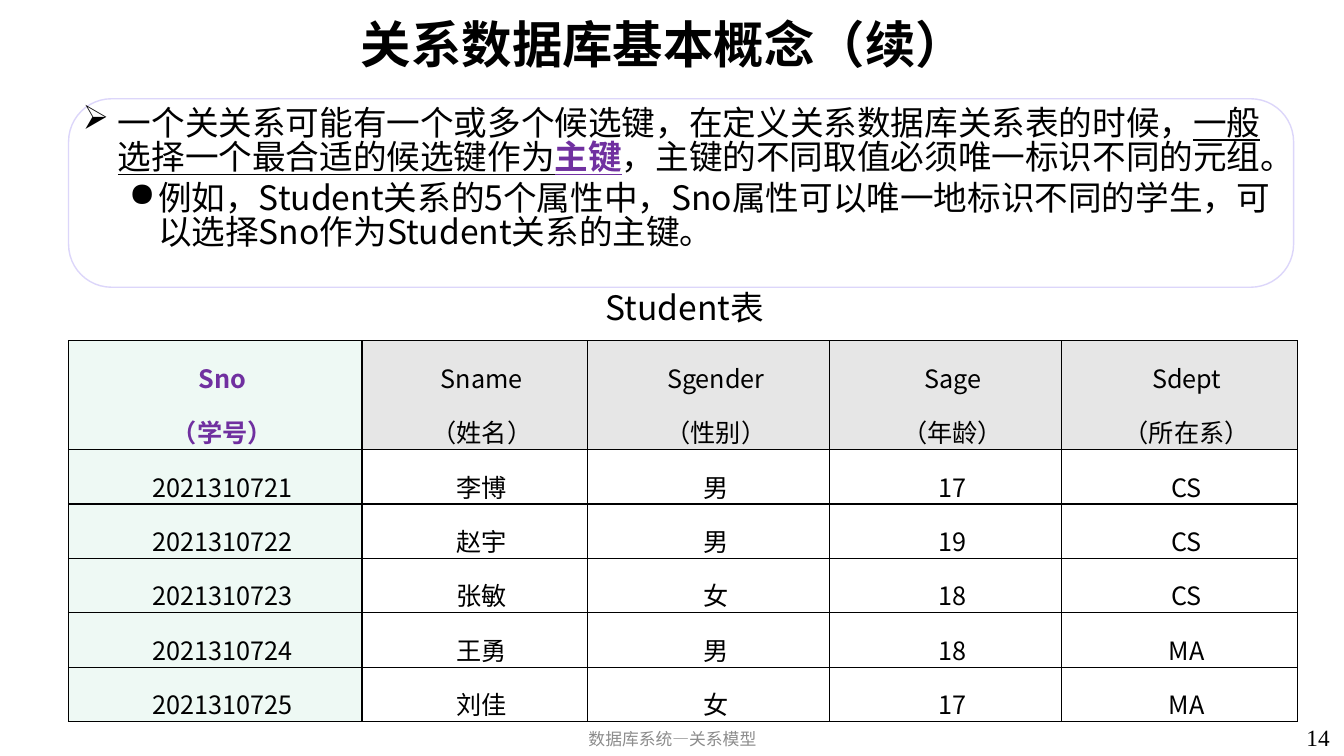
from lxml.etree import SubElement
from pptx import Presentation
from pptx.dml.color import RGBColor
from pptx.enum.shapes import MSO_SHAPE as Shape
from pptx.enum.text import MSO_ANCHOR as Anchor, PP_ALIGN as Align
from pptx.oxml.ns import qn
from pptx.util import Inches, Pt

SANS, SERIF = "Noto Sans CJK SC", "Times New Roman"
COLORS = {"black": "000000", "white": "FFFFFF", "grey": "8C8C8C", "purple": "7030A0",
          "frame": "DCD6FA", "key": "EEF9F4", "header": "E6E6E6"}

# Content
TITLE = "关系数据库基本概念（续）"
FOOTER = "数据库系统—关系模型"
PAGE_NUMBER = "14"
CAPTION = "Student表"
# Bullet, left margin, hanging indent, space before, spans of (text, style)
POINTS = [
    ("➢", 0.35, 0.35, 0, [
        ("一个关关系可能有一个或多个候选键，在定义关系数据库关系表的时候，", {}),
        ("一般选择一个最合适的候选键作为", {"underline": True}),
        ("主键", {"underline": True, "bold": True, "color": "purple"}),
        ("，主键的不同取值必须唯一标识不同的元组。", {}),
    ]),
    ("●", 0.75, 0.29, 4.5, [
        ("例如，Student关系的5个属性中，Sno属性可以唯一地标识不同的学生，"
         "可以选择Sno作为Student关系的主键。", {}),
    ]),
]
STUDENTS = [
    ("Sno\n（学号）", "Sname\n（姓名）", "Sgender\n（性别）", "Sage\n（年龄）", "Sdept\n（所在系）"),
    ("2021310721", "李博", "男", "17", "CS"),
    ("2021310722", "赵宇", "男", "19", "CS"),
    ("2021310723", "张敏", "女", "18", "CS"),
    ("2021310724", "王勇", "男", "18", "MA"),
    ("2021310725", "刘佳", "女", "17", "MA"),
]
COLUMN_WIDTHS = (2.91, 2.24, 2.4, 2.3, 2.34)
ROW_HEIGHT = 0.54


def rgb(name):
    return RGBColor.from_string(COLORS[name])


def style_span(span, size, color="black", bold=False, underline=False, face=SANS):
    font = span.font
    font.size, font.bold, font.underline = Pt(size), bold, underline
    font.color.rgb = rgb(color)
    font.name = face
    east_asian = SubElement(span._r.rPr, qn("a:ea"), typeface=face)
    span._r.rPr.find(qn("a:latin")).addnext(east_asian)


def add_box(slide, left, top, width, height, anchor=Anchor.TOP, wrap=True):
    box = slide.shapes.add_textbox(Inches(left), Inches(top), Inches(width), Inches(height))
    box.text_frame.word_wrap = wrap
    box.text_frame.vertical_anchor = anchor
    return box.text_frame


def add_label(slide, text, place, size, align=Align.LEFT, anchor=Anchor.TOP, wrap=True, **style):
    frame = add_box(slide, *place, anchor, wrap)
    frame.text = text
    para = frame.paragraphs[0]
    para.alignment = align
    style_span(para.runs[0], size, **style)


def add_points(slide):
    frame = add_box(slide, 0.72, 1.02, 12.11, 1.75)
    for index, (bullet, margin, hanging, before, spans) in enumerate(POINTS):
        para = frame.add_paragraph() if index else frame.paragraphs[0]
        para.level = index
        props = para._p.get_or_add_pPr()
        props.set("marL", str(Inches(margin)))
        props.set("indent", str(-Inches(hanging)))
        SubElement(props, qn("a:buChar"), char=bullet)
        para.line_spacing = 0.85
        para.space_before = Pt(before)
        for text, style in spans:
            span = para.add_run()
            span.text = text
            style_span(span, 24, **style)


def add_borders(cell):
    props = cell._tc.get_or_add_tcPr()
    for index, side in enumerate(("lnL", "lnR", "lnT", "lnB")):
        line = props.makeelement(qn(f"a:{side}"), {"w": str(Pt(1))})
        fill = SubElement(line, qn("a:solidFill"))
        SubElement(fill, qn("a:srgbClr"), val=COLORS["black"])
        props.insert(index, line)


def fill_cell(cell, text, row, column):
    cell.margin_left = cell.margin_right = Inches(0.07)
    cell.margin_top = cell.margin_bottom = 0
    cell.vertical_anchor = Anchor.MIDDLE
    if column == 0 or row == 0:
        cell.fill.solid()
        cell.fill.fore_color.rgb = rgb("header" if column else "key")
    else:
        cell.fill.background()
    add_borders(cell)
    is_key = row == column == 0
    cell.text_frame.text = text
    for para in cell.text_frame.paragraphs:
        para.alignment = Align.CENTER
        para.line_spacing = 1.5
        para._p.get_or_add_pPr().set("indent", str(Inches(0.14)))
        style_span(para.runs[0], 18, "purple" if is_key else "black", bold=is_key)


def add_students(slide):
    heights = [ROW_HEIGHT * (2 if row == 0 else 1) for row in range(len(STUDENTS))]
    table = slide.shapes.add_table(
        len(STUDENTS), len(COLUMN_WIDTHS), Inches(0.68), Inches(3.38),
        Inches(sum(COLUMN_WIDTHS)), Inches(sum(heights))).table
    for column, width in zip(table.columns, COLUMN_WIDTHS):
        column.width = Inches(width)
    for row, height in zip(table.rows, heights):
        row.height = Inches(height)
    for row, values in enumerate(STUDENTS):
        for column, text in enumerate(values):
            fill_cell(table.cell(row, column), text, row, column)


def main():
    deck = Presentation()
    deck.slide_width, deck.slide_height = Inches(13.33), Inches(7.5)
    slide = deck.slides.add_slide(deck.slide_layouts[6])

    # Rounded frame behind the points
    frame = slide.shapes.add_shape(Shape.ROUNDED_RECTANGLE, Inches(0.68), Inches(0.98),
                                   Inches(12.15), Inches(1.87))
    frame.adjustments[0] = 0.228
    frame.shadow.inherit = False
    frame.fill.solid()
    frame.fill.fore_color.rgb = rgb("white")
    frame.line.color.rgb = rgb("frame")
    frame.line.width = Pt(1)

    # Title, footer and page number
    add_label(slide, TITLE, (1.06, 0.06, 11.04, 0.74), 36, Align.CENTER, Anchor.MIDDLE, bold=True)
    add_label(slide, FOOTER, (4.42, 7.16, 4.5, 0.34), 12, Align.CENTER, Anchor.MIDDLE, color="grey")
    add_label(slide, PAGE_NUMBER, (12.86, 7.13, 0.63, 0.52), 16.6, face=SERIF)

    # Points, student table and its caption
    add_points(slide)
    add_students(slide)
    add_label(slide, CAPTION, (5.91, 2.8, 1.85, 0.5), 24, wrap=False)

    deck.save("out.pptx")


if __name__ == "__main__":
    main()
